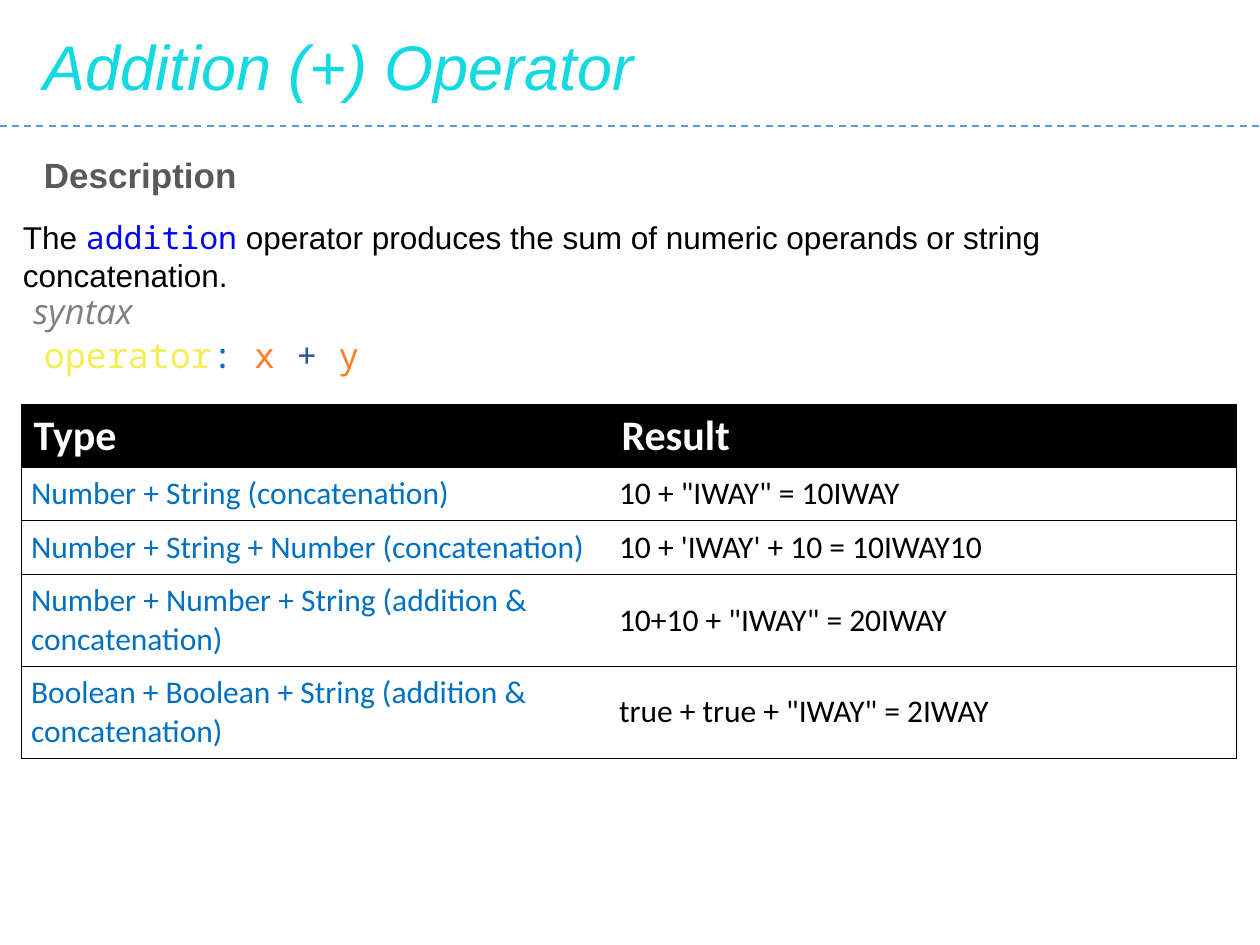
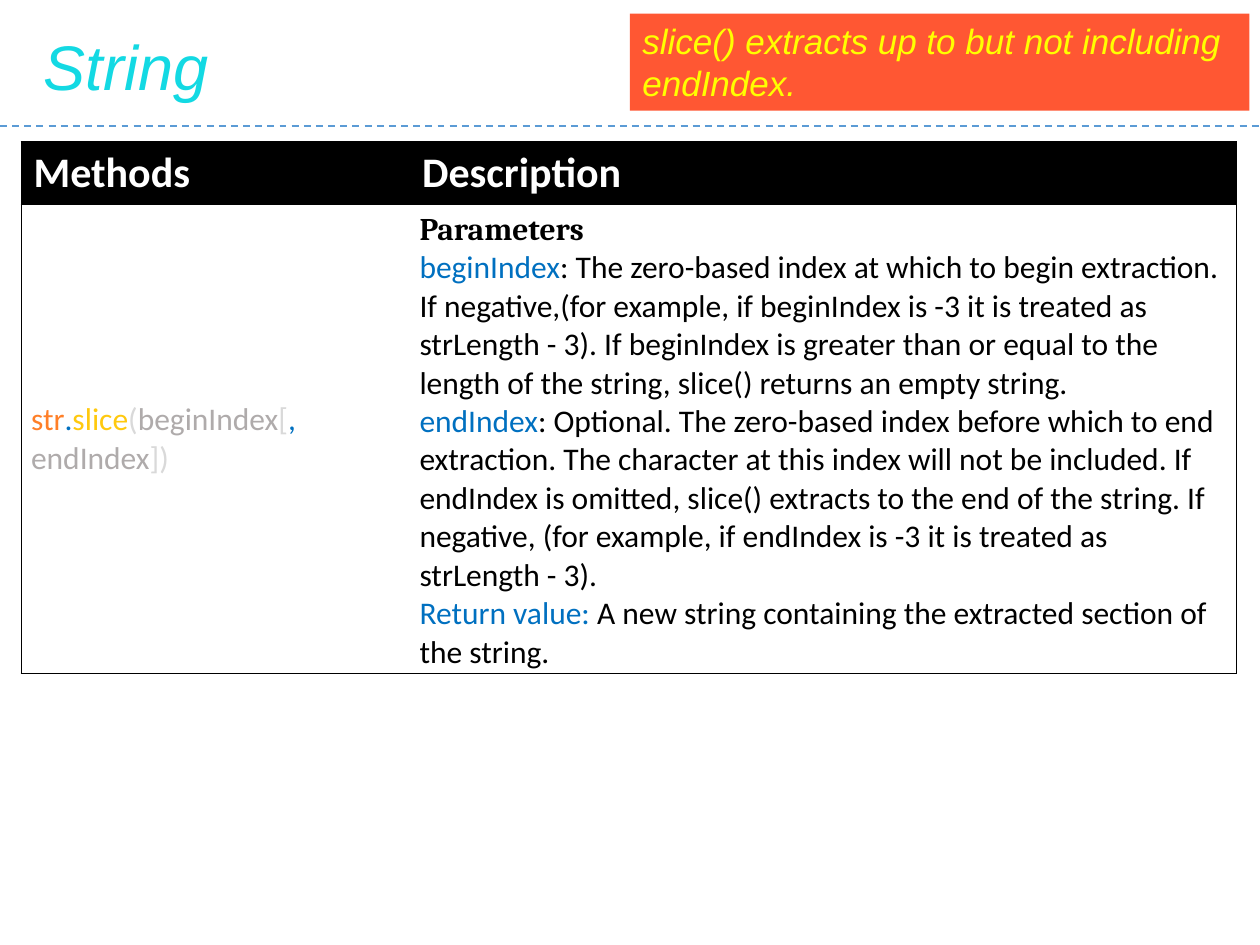
import dataclasses
import typing

import lxml.etree
import pptx
import pptx.dml.color
import pptx.enum.dml
import pptx.enum.shapes
import pptx.enum.text
import pptx.oxml.ns
import pptx.util

SLIDE_WIDTH = pptx.util.Inches(10)
SLIDE_HEIGHT = pptx.util.Inches(7.5)
GRID_COLUMNS = 120
GRID_ROWS = 90
TABLE_LEFT = 2
TABLE_WIDTH = 115.75
BORDER_POINTS = 0.5

COLORS = {
    "black": "000000",
    "white": "FFFFFF",
    "title": "13D9E3",
    "rule": "5B9BD5",
    "heading": "595959",
    "syntax": "808080",
    "keyword": "0000FF",
    "term": "0070C0",
    "operator": "F3EF53",
    "operand": "FF7F27",
    "plus": "2F5597",
    "method": "FFC90E",
    "bracket": "D9D9D9",
    "argument": "AFABAB",
    "note": "FF5733",
    "note_text": "FFFF00",
}


@dataclasses.dataclass(frozen=True)
class Span:
    text: str
    color: str = "black"
    name: str = "Calibri"
    size: float = 18
    bold: bool = False
    italic: bool = False


Line = typing.Sequence[Span]
Lines = typing.Sequence[Line]


@dataclasses.dataclass(frozen=True)
class TextBlock:
    left: float
    top: float
    width: float
    height: float
    spans: Line
    fill: typing.Optional[str] = None


@dataclasses.dataclass(frozen=True)
class GridTable:
    top: float
    first_column: float
    row_heights: typing.Sequence[float]
    headers: typing.Sequence[str]
    body: typing.Sequence[typing.Sequence[Lines]]


def across(columns: float) -> int:
    return round(SLIDE_WIDTH * columns / GRID_COLUMNS)


def down(rows: float) -> int:
    return round(SLIDE_HEIGHT * rows / GRID_ROWS)


def rgb(color: str) -> pptx.dml.color.RGBColor:
    return pptx.dml.color.RGBColor.from_string(COLORS[color])


def write_lines(frame, lines: Lines) -> None:
    for index, spans in enumerate(lines):
        paragraph = frame.add_paragraph() if index else frame.paragraphs[0]
        runs = [paragraph.add_run() for _ in spans]
        for run, span in zip(runs, spans):
            run.text = span.text
        for attribute in ("size", "name", "bold", "italic", "color"):
            values = [getattr(span, attribute) for span in spans]
            shared = len(set(values)) == 1
            fonts = [paragraph.font] if shared else [run.font for run in runs]
            for font, value in zip(fonts, values):
                if attribute == "color":
                    font.color.rgb = rgb(value)
                elif attribute == "size":
                    font.size = pptx.util.Pt(value)
                else:
                    setattr(font, attribute, value)


def draw_block(page, block: TextBlock) -> None:
    place = (across(block.left), down(block.top), across(block.width), down(block.height))
    if block.fill:
        box = page.shapes.add_shape(pptx.enum.shapes.MSO_SHAPE.RECTANGLE, *place)
        box.shadow.inherit = False
        box.fill.solid()
        box.fill.fore_color.rgb = rgb(block.fill)
        box.line.fill.background()
    else:
        box = page.shapes.add_textbox(*place)
    frame = box.text_frame
    frame.word_wrap = True
    frame.auto_size = pptx.enum.text.MSO_AUTO_SIZE.SHAPE_TO_FIT_TEXT
    frame.vertical_anchor = pptx.enum.text.MSO_ANCHOR.TOP
    write_lines(frame, [block.spans])
    frame.paragraphs[0].alignment = pptx.enum.text.PP_ALIGN.LEFT


def draw_rule(page) -> None:
    rule = page.shapes.add_connector(
        pptx.enum.shapes.MSO_CONNECTOR.STRAIGHT, 0, down(12), SLIDE_WIDTH, down(12)
    )
    rule.line.color.rgb = rgb("rule")
    rule.line.width = pptx.util.Pt(1)
    rule.line.dash_style = pptx.enum.dml.MSO_LINE.DASH
    lxml.etree.SubElement(rule._element.spPr, pptx.oxml.ns.qn("a:effectLst"))


def set_borders(cell, visible: typing.Dict[str, bool]) -> None:
    properties = cell._tc.get_or_add_tcPr()
    for index, (side, shown) in enumerate(visible.items()):
        edge = lxml.etree.Element(pptx.oxml.ns.qn(f"a:ln{side}"))
        edge.set("w", str(pptx.util.Pt(BORDER_POINTS)))
        fill = lxml.etree.SubElement(
            edge, pptx.oxml.ns.qn("a:solidFill" if shown else "a:noFill")
        )
        if shown:
            color = lxml.etree.SubElement(fill, pptx.oxml.ns.qn("a:srgbClr"))
            color.set("val", COLORS["black"])
        properties.insert(index, edge)


def draw_table(page, grid: GridTable) -> None:
    header = [[[Span(text, "white", size=24, bold=True)]] for text in grid.headers]
    rows = [header, *grid.body]
    widths = [grid.first_column, TABLE_WIDTH - grid.first_column]
    table = page.shapes.add_table(
        len(rows), len(widths), across(TABLE_LEFT), down(grid.top),
        across(TABLE_WIDTH), down(sum(grid.row_heights)),
    ).table
    table.first_row = False
    table.horz_banding = False
    for column, width in zip(table.columns, widths):
        column.width = across(width)
    for row, height in zip(table.rows, grid.row_heights):
        row.height = down(height)
    for row_index, row in enumerate(rows):
        for column_index, lines in enumerate(row):
            cell = table.cell(row_index, column_index)
            cell.fill.solid()
            cell.fill.fore_color.rgb = rgb("white" if row_index else "black")
            if row_index:
                cell.vertical_anchor = pptx.enum.text.MSO_ANCHOR.MIDDLE
                cell.margin_left = cell.margin_right = pptx.util.Inches(0.08)
                cell.margin_top = cell.margin_bottom = pptx.util.Inches(0.06)
            write_lines(cell.text_frame, lines)
            set_borders(cell, {
                "L": column_index == 0,
                "R": column_index == len(widths) - 1,
                "T": True,
                "B": True,
            })


def add_page(deck, title: str, blocks: typing.Sequence[TextBlock], grid: GridTable) -> None:
    page = deck.slides.add_slide(deck.slide_layouts[6])
    heading = Span(title, "title", "Arial", 36, italic=True)
    draw_block(page, TextBlock(3, 2, 113, 8.5, [heading]))
    draw_rule(page)
    draw_table(page, grid)
    for block in blocks:
        draw_block(page, block)


def code(text: str, color: str, size: float = 20) -> Span:
    return Span(text, color, "Noto Sans Mono", size)


ADDITION_BLOCKS = [
    TextBlock(3, 14, 113, 5.25, [Span("Description", "heading", "Arial", 20, bold=True)]),
    TextBlock(1, 20.2, 119, 4.8, [
        Span("The ", name="Arial"),
        code("addition", "keyword", 18),
        Span(" operator produces the sum of numeric operands or string concatenation.",
             name="Arial"),
    ]),
    TextBlock(2, 27, 116, 5.25, [Span("syntax", "syntax", "Open Sans", 20, italic=True)]),
    TextBlock(3, 31.2, 114, 5.25, [
        code("operator", "operator"),
        code(": ", "term"),
        code("x ", "operand"),
        code("+ ", "plus"),
        code("y", "operand"),
    ]),
]

ADDITION_RESULTS = [
    ("Number + String (concatenation)", '10 + "IWAY" = 10IWAY'),
    ("Number + String + Number (concatenation)", "10 + 'IWAY' + 10 = 10IWAY10"),
    ("Number + Number + String (addition & concatenation)", '10+10 + "IWAY" = 20IWAY'),
    ("Boolean + Boolean + String (addition & concatenation)",
     'true + true + "IWAY" = 2IWAY'),
]

ADDITION_TABLE = GridTable(
    38.5, 56, [6, 5.1, 5.1, 8.75, 8.75], ["Type", "Result"],
    [([[Span(operands, "term")]], [[Span(result)]]) for operands, result in ADDITION_RESULTS],
)

SLICE_SIGNATURE = [
    Span("str", "operand"),
    Span(".", "term"),
    Span("slice", "method"),
    Span("(", "bracket"),
    Span("beginIndex", "argument"),
    Span("[", "bracket"),
    Span(", ", "term"),
    Span("endIndex", "argument"),
    Span("])", "bracket"),
]

SLICE_TERMS = [
    ("beginIndex",
     ": The zero-based index at which to begin extraction. If negative,(for example, "
     "if beginIndex is -3 it is treated as strLength - 3). If beginIndex is greater than "
     "or equal to the length of the string, slice() returns an empty string."),
    ("endIndex",
     ": Optional. The zero-based index before which to end extraction. The character at "
     "this index will not be included. If endIndex is omitted, slice() extracts to the end "
     "of the string. If negative, (for example, if endIndex is -3 it is treated as "
     "strLength - 3)."),
    ("Return value: ", "A new string containing the extracted section of the string."),
]

SLICE_DESCRIPTION = [
    [Span("Parameters", name="Cambria", bold=True)],
    *([Span(term, "term"), Span(meaning)] for term, meaning in SLICE_TERMS),
]

SLICE_TABLE = GridTable(
    13.5, 37, [6, 44.5], ["Methods", "Description"],
    [([SLICE_SIGNATURE], SLICE_DESCRIPTION)],
)

SLICE_NOTE = TextBlock(60, 1.3, 59, 9.25, [
    Span("slice() extracts up to but not including endIndex.",
         "note_text", "Arial", 20, italic=True),
], "note")


def main() -> None:
    deck = pptx.Presentation()
    deck.slide_width = SLIDE_WIDTH
    deck.slide_height = SLIDE_HEIGHT
    add_page(deck, "Addition (+) Operator", ADDITION_BLOCKS, ADDITION_TABLE)
    add_page(deck, "String", [SLICE_NOTE], SLICE_TABLE)
    deck.save("out.pptx")


if __name__ == "__main__":
    main()
